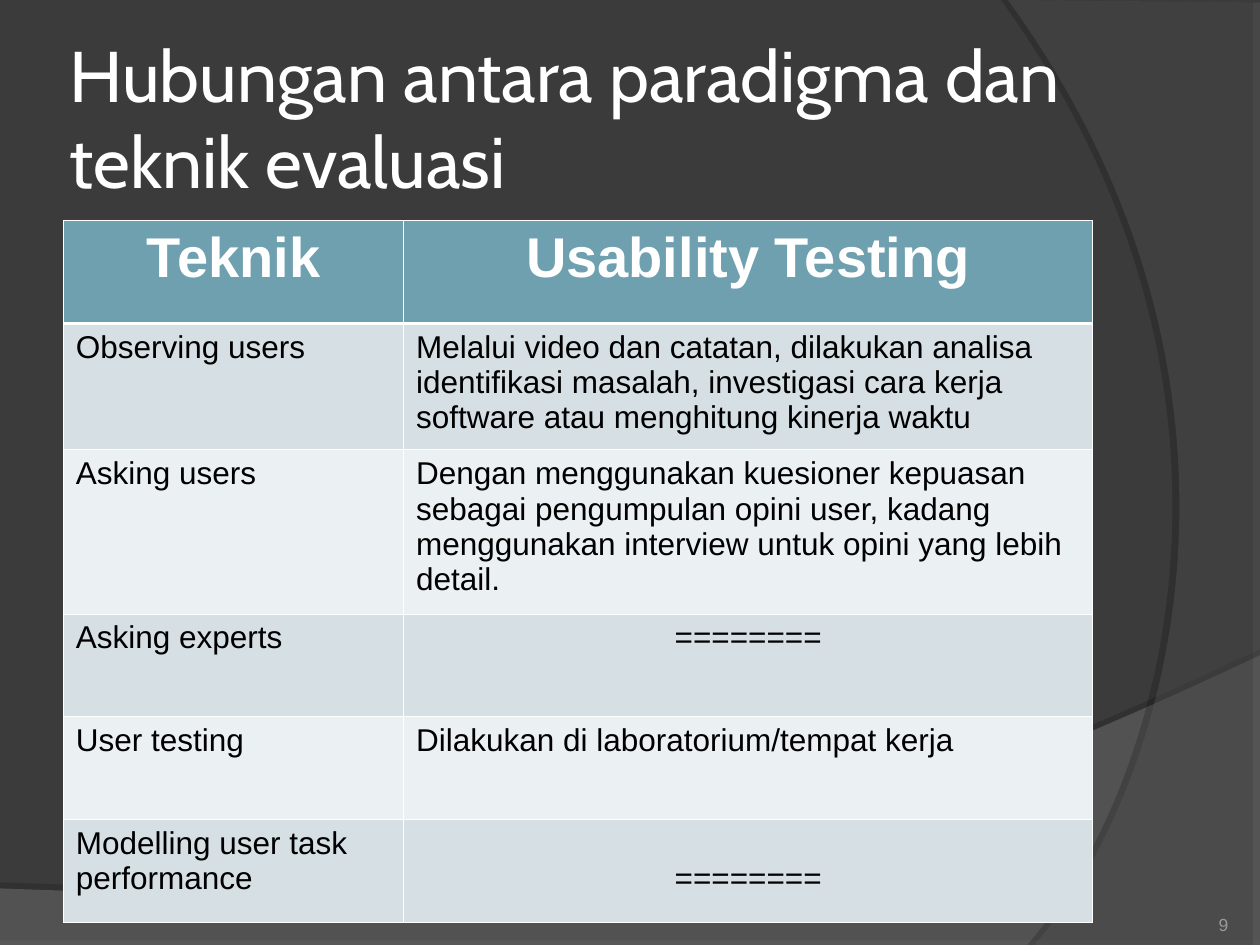
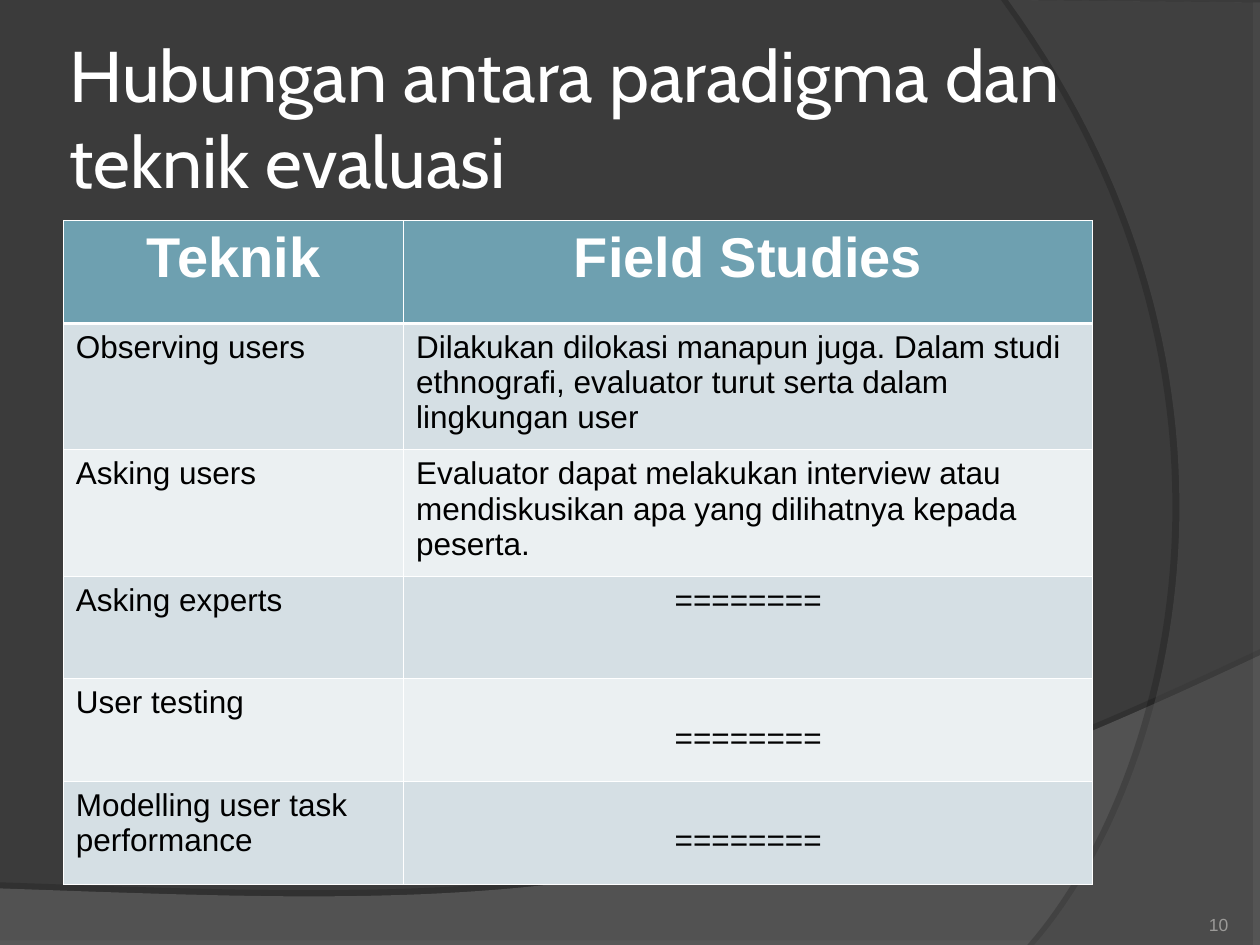
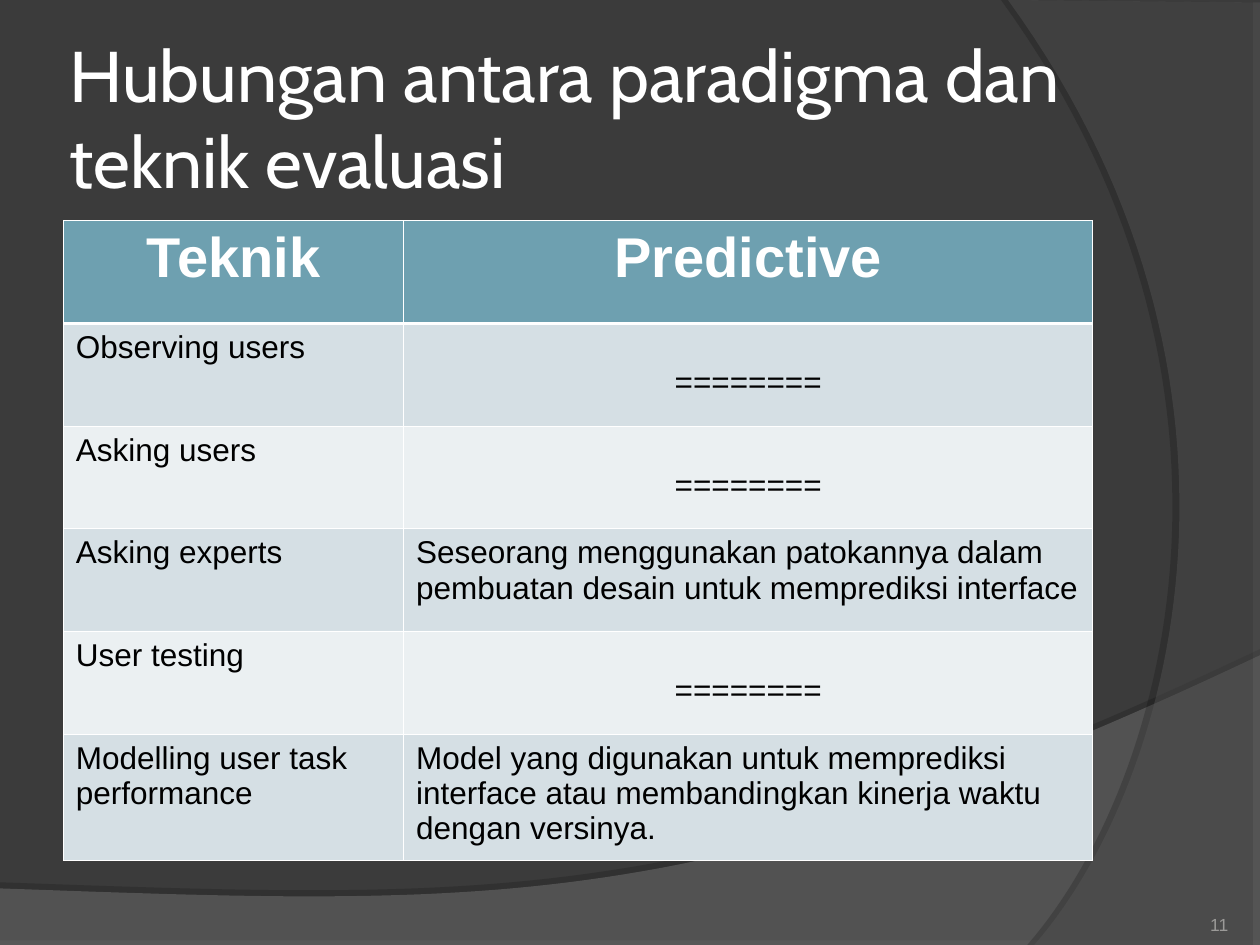
from lxml import etree
from pptx import Presentation
from pptx import util as u
from pptx.dml.color import RGBColor
from pptx.enum import text
from pptx.oxml.ns import qn

HUES = {
    "back": "3B3B3B", "wave": "7C7C7C", "arc": "595959", "shade": "000000",
    "head": "6EA0B0", "odd": "D5DFE4", "even": "EBF0F2",
    "light": "FFFFFF", "dark": "000000", "page": "9B9A98",
}
LEFT, MID, RIGHT = text.PP_ALIGN.LEFT, text.PP_ALIGN.CENTER, text.PP_ALIGN.RIGHT
TITLE = "Hubungan antara paradigma dan teknik evaluasi"
TASKS = ["Observing users", "Asking users", "Asking experts", "User testing",
         "Modelling user task performance"]
WIDTHS = [6.86, 13.89]
LOW, TALL, HUGE = 2.07, 2.54, 3.3
PAD, DROP = 0.13, 0.84
NONE = "========"
THIN, THICK = 0.45, 1.47

WAVE = {
    "line": [(0, 17.91), (0, 19.08), (25.4, 19.08), (25.4, 13.21)],
    "bend": [(14.2, 18.52), (9.93, 18.26), (0, 17.91)],
    "hue": "wave", "alpha": 45, "shade": (35, 3.5, 270),
}
ARC = {
    "line": [(20.32, 0), (25.4, 0.05), (25.4, 19.05), (20.85, 19.05)],
    "bend": [(23.75, 15.72), (25.86, 7.62), (20.32, 0)],
    "hue": "arc", "alpha": 40, "shade": (45, 4, 180),
}

DECK = [
    (9, "Usability Testing", [
        ("Melalui video dan catatan, dilakukan analisa identifikasi masalah, "
         "investigasi cara kerja software atau menghitung kinerja waktu", TALL, PAD),
        ("Dengan menggunakan kuesioner kepuasan sebagai pengumpulan opini user, "
         "kadang menggunakan interview untuk opini yang lebih detail.", HUGE, PAD),
        (NONE, LOW, PAD),
        ("Dilakukan di laboratorium/tempat kerja", LOW, PAD),
        (NONE, LOW, DROP),
    ]),
    (10, "Field Studies", [
        ("Dilakukan dilokasi manapun juga. Dalam studi ethnografi, evaluator "
         "turut serta dalam lingkungan user", TALL, PAD),
        ("Evaluator dapat melakukan interview atau mendiskusikan apa yang "
         "dilihatnya kepada peserta.", TALL, PAD),
        (NONE, LOW, PAD),
        (NONE, LOW, DROP),
        (NONE, LOW, DROP),
    ]),
    (11, "Predictive", [
        (NONE, LOW, DROP),
        (NONE, LOW, DROP),
        ("Seseorang menggunakan patokannya dalam pembuatan desain untuk "
         "memprediksi interface", LOW, PAD),
        (NONE, LOW, DROP),
        ("Model yang digunakan untuk memprediksi interface atau membandingkan "
         "kinerja waktu dengan versinya.", TALL, PAD),
    ]),
]


def tint(hue):
    return RGBColor.from_string(HUES[hue])


def apply(item, form):
    for key, value in form.items():
        setattr(item, key, value)


def paint(fill, hue):
    fill.solid()
    fill.fore_color.rgb = tint(hue)


def node(base, tag, **form):
    return etree.SubElement(base, qn(tag), {k: str(v) for k, v in form.items()})


def write(frame, words, hue, align=LEFT, **form):
    para = frame.paragraphs[0]
    para.alignment = align
    run = para.add_run()
    run.text = words
    apply(run.font, form)
    run.font.color.rgb = tint(hue)


def curve(start, bend, steps=60):
    pts = [start, *bend]
    for i in range(1, steps + 1):
        t = i / steps
        mix = [(1 - t) ** 3, 3 * t * (1 - t) ** 2, 3 * t * t * (1 - t), t ** 3]
        yield tuple(sum(m * p[axis] for m, p in zip(mix, pts)) for axis in (0, 1))


def sweep(slide, form):
    pts = [*form["line"], *curve(form["line"][-1], form["bend"])]
    pts = [(u.Cm(x), u.Cm(y)) for x, y in pts]
    pen = slide.shapes.build_freeform(*pts[0])
    pen.add_line_segments(pts[1:], close=True)
    shape = pen.convert_to_shape()
    paint(shape.fill, form["hue"])
    shape.line.fill.background()
    shape.shadow.inherit = False
    props = shape.element.spPr
    node(props.find(qn("a:solidFill"))[0], "a:alpha", val=form["alpha"] * 1000)
    alpha, dist, angle = form["shade"]
    cast = node(props.find(qn("a:effectLst")), "a:outerShdw", blurRad=0,
                dist=int(u.Pt(dist)), dir=angle * 60000, algn="ctr", rotWithShape=0)
    shade = node(cast, "a:srgbClr", val=HUES["shade"])
    node(shade, "a:alpha", val=alpha * 1000)


def label(slide, words, area, inset, anchor, hue, **form):
    frame = slide.shapes.add_textbox(*map(u.Cm, area)).text_frame
    apply(frame, {"word_wrap": True, "vertical_anchor": anchor})
    apply(frame, {f"margin_{side}": u.Cm(inset)
                  for side in ("left", "right", "top", "bottom")})
    write(frame, words, hue, **form)


def edge(cell, top, bottom):
    props = cell._tc.get_or_add_tcPr()
    for side, width in zip("LRTB", (THIN, THIN, top, bottom)):
        line = node(props, f"a:ln{side}", w=int(u.Pt(width)))
        node(node(line, "a:solidFill"), "a:srgbClr", val=HUES["light"])


def fill(cell, row, words, drop):
    edge(cell, THICK if row == 1 else THIN, THICK if row == 0 else THIN)
    paint(cell.fill, "head" if row == 0 else "odd" if row % 2 else "even")
    apply(cell, {"margin_left": u.Cm(0.25), "margin_right": u.Cm(0.25),
                 "margin_top": u.Cm(drop), "margin_bottom": u.Cm(PAD)})
    head = row == 0
    write(cell.text_frame, words, "light" if head else "dark",
          MID if head or words == NONE else LEFT,
          name="Arial", size=u.Pt(32 if head else 18), bold=head)


def grid(slide, name, notes):
    rows = [(name, LOW, PAD), *notes]
    area = (1.28, 4.45, sum(WIDTHS), sum(high for _, high, _ in rows))
    table = slide.shapes.add_table(len(rows), 2, *map(u.Cm, area)).table
    apply(table, {"first_row": False, "horz_banding": False})
    for col, width in zip(table.columns, WIDTHS):
        col.width = u.Cm(width)
    for i, (task, (words, high, drop)) in enumerate(zip(["Teknik", *TASKS], rows)):
        table.rows[i].height = u.Cm(high)
        fill(table.cell(i, 0), i, task, PAD)
        fill(table.cell(i, 1), i, words, drop)


def build(deck, page, name, notes):
    slide = deck.slides.add_slide(deck.slide_layouts[6])
    paint(slide.background.fill, "back")
    sweep(slide, WAVE)
    sweep(slide, ARC)
    label(slide, TITLE, (1.27, 0.76, 20.75, 3.18), 0.13, text.MSO_ANCHOR.MIDDLE,
          "light", name="Cabin", size=u.Pt(41))
    grid(slide, name, notes)
    label(slide, str(page), (22.66, 17.83, 2.1, 1.02), 0, text.MSO_ANCHOR.BOTTOM,
          "page", align=RIGHT, name="Arial", size=u.Pt(10))


def main():
    deck = Presentation()
    apply(deck, {"slide_width": u.Cm(25.4), "slide_height": u.Cm(19.05)})
    for page, name, notes in DECK:
        build(deck, page, name, notes)
    deck.save("out.pptx")


if __name__ == "__main__":
    main()
